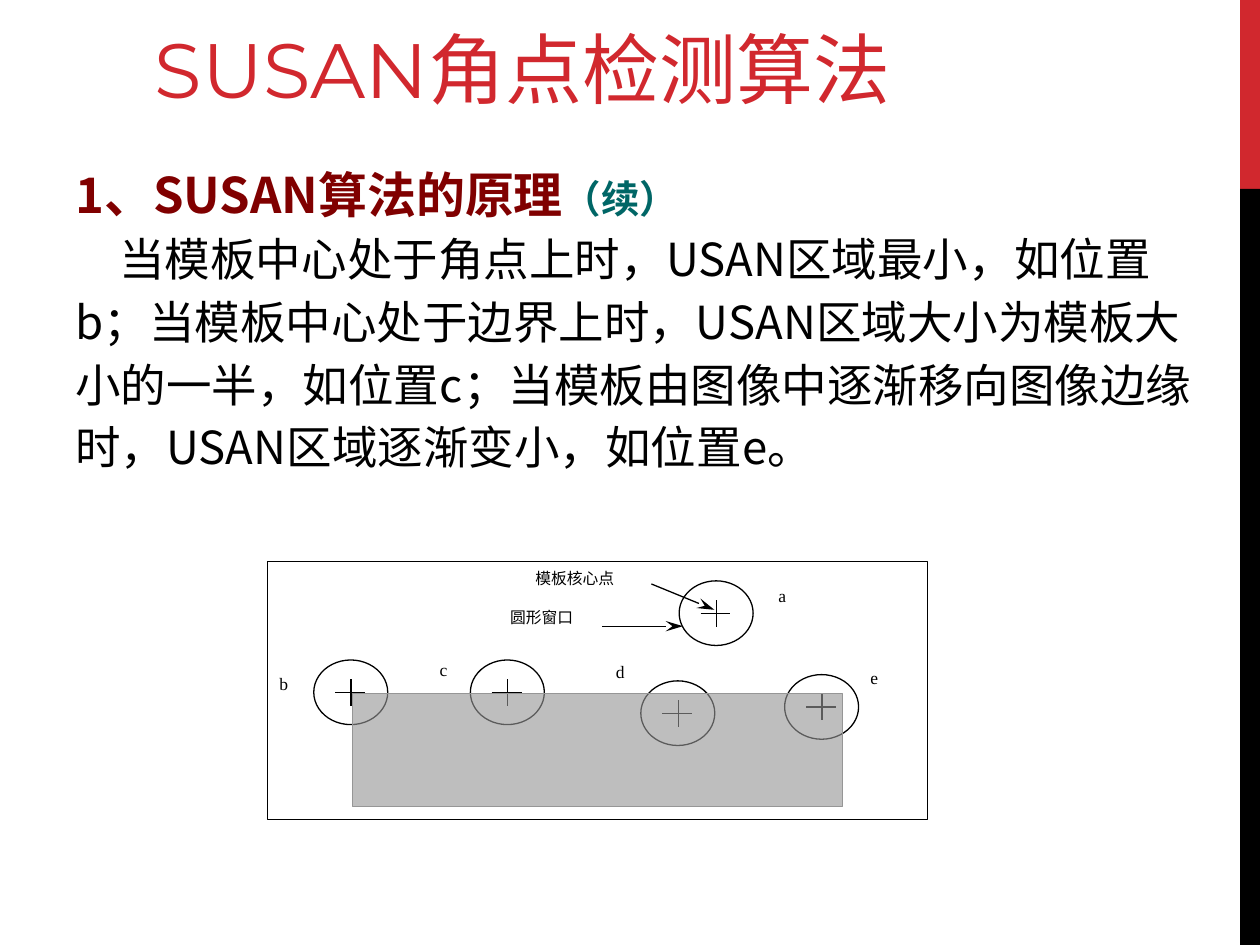
from dataclasses import dataclass
from typing import Optional

from lxml.etree import SubElement
from pptx import Presentation
from pptx.dml.color import RGBColor
from pptx.enum.shapes import MSO_CONNECTOR, MSO_SHAPE
from pptx.enum.text import MSO_ANCHOR, PP_ALIGN
from pptx.oxml.ns import qn
from pptx.util import Inches, Pt

COLORS = {
    "red": "D1282E", "black": "000000", "white": "FFFFFF",
    "maroon": "800000", "teal": "006666", "gray": "969696",
}
CJK_FONT = "Noto Sans CJK SC"
LABEL_FONT = "Times New Roman"

presentation = Presentation()
presentation.slide_width, presentation.slide_height = Inches(10), Inches(7.5)
slide = presentation.slides.add_slide(presentation.slide_layouts[6])

# The grid has 100 columns and 75 rows
COLUMN = presentation.slide_width / 100
ROW = presentation.slide_height / 75


@dataclass
class Box:
    left: float
    top: float
    width: float
    height: float

    def lengths(self) -> tuple:
        return (round(self.left * COLUMN), round(self.top * ROW),
                round(self.width * COLUMN), round(self.height * ROW))


@dataclass
class Run:
    text: str
    size: float
    color: str = "black"
    font: str = CJK_FONT
    bold: bool = False


@dataclass
class Label:
    text: str
    box: Box
    size: float = 10
    line_spacing: float = 1.0
    filled: bool = False


@dataclass
class Line:
    x1: float
    y1: float
    x2: float
    y2: float
    arrow: bool = False


def rgb(name: str) -> RGBColor:
    return RGBColor.from_string(COLORS[name])


def draw_shape(parent, kind, box: Box, fill: str, line: Optional[str] = None,
               opacity: Optional[int] = None, line_width: float = 0.75) -> None:
    shape = parent.add_shape(kind, *box.lengths())
    shape.shadow.inherit = False
    shape.fill.solid()
    shape.fill.fore_color.rgb = rgb(fill)
    if opacity is not None:
        color = shape.fill._xPr.find(qn("a:solidFill"))[0]
        SubElement(color, qn("a:alpha"), val=str(opacity * 1000))
    if line:
        shape.line.color.rgb = rgb(line)
        shape.line.width = Pt(line_width)
    else:
        shape.line.fill.background()


def draw_line(parent, line: Line) -> None:
    connector = parent.add_connector(
        MSO_CONNECTOR.STRAIGHT, round(line.x1 * COLUMN), round(line.y1 * ROW),
        round(line.x2 * COLUMN), round(line.y2 * ROW))
    connector.line.color.rgb = rgb("black")
    connector.line.width = Pt(0.75)
    if line.arrow:
        SubElement(connector.line._get_or_add_ln(), qn("a:tailEnd"),
                   type="stealth", w="med", len="lg")
    SubElement(connector._element.spPr, qn("a:effectLst"))


def draw_window(parent, left: float, top: float) -> None:
    """Circular window with a cross at its core point."""
    draw_shape(parent, MSO_SHAPE.OVAL, Box(left, top, 5.87, 5.13), "white", "black")
    draw_line(parent, Line(left + 1.7, top + 2.57, left + 4.07, top + 2.57))
    draw_line(parent, Line(left + 2.97, top + 1.54, left + 2.97, top + 3.64))


def add_text_box(parent, box: Box, anchor=MSO_ANCHOR.TOP):
    text_box = parent.add_textbox(*box.lengths())
    text_box.text_frame.word_wrap = True
    text_box.text_frame.vertical_anchor = anchor
    return text_box


def write_runs(paragraph, runs: list, **formats) -> None:
    for name, value in formats.items():
        setattr(paragraph, name, value)
    for item in runs:
        run = paragraph.add_run()
        run.text = item.text
        values = {"size": Pt(item.size), "name": item.font, "bold": item.bold}
        for name, value in values.items():
            setattr(run.font, name, value)
        run.font.color.rgb = rgb(item.color)
        SubElement(run.font._element, qn("a:ea"), typeface=CJK_FONT)


def draw_label(parent, label: Label) -> None:
    text_box = add_text_box(parent, label.box)
    if label.filled:
        text_box.fill.solid()
        text_box.fill.fore_color.rgb = rgb("white")
    write_runs(text_box.text_frame.paragraphs[0],
               [Run(label.text, label.size, font=LABEL_FONT)],
               alignment=PP_ALIGN.JUSTIFY, line_spacing=label.line_spacing)


# Side band and white panel
draw_shape(slide.shapes, MSO_SHAPE.RECTANGLE, Box(98.43, 0, 1.57, 15), "red")
draw_shape(slide.shapes, MSO_SHAPE.RECTANGLE, Box(98.43, 15, 1.57, 60), "black")
draw_shape(slide.shapes, MSO_SHAPE.RECTANGLE, Box(92.6, 0, 5.1, 39.1),
           "white", "white", line_width=2.25)

# Title
title = add_text_box(slide.shapes, Box(11.3, 1.2, 69.4, 8.4), MSO_ANCHOR.MIDDLE)
write_runs(title.text_frame.paragraphs[0],
           [Run("SUSAN角点检测算法", 44, "red", "Montserrat")])

# Body text
body = add_text_box(slide.shapes, Box(5, 10.9, 91.7, 27.6)).text_frame
write_runs(body.paragraphs[0], [
    Run("1、SUSAN算法的原理", 28, "maroon", bold=True),
    Run("（续）", 22, "teal", bold=True),
], line_spacing=1.35)
explanation = body.add_paragraph()
explanation._p.get_or_add_pPr().set("indent", str(Inches(0.35)))
write_runs(explanation, [Run(
    "当模板中心处于角点上时，USAN区域最小，如位置b；当模板中心处于边界上时，"
    "USAN区域大小为模板大小的一半，如位置c；当模板由图像中逐渐移向图像边缘时，"
    "USAN区域逐渐变小，如位置e。", 26)], line_spacing=1.15)

# Diagram: frame, circular windows, labels, image region
diagram = slide.shapes.add_group_shape().shapes
draw_shape(diagram, MSO_SHAPE.RECTANGLE, Box(21.23, 44.55, 52.4, 20.5), "white", "black")
LABELS = [
    Label("模板核心点", Box(41.5, 44.75, 11.8, 3.8), 9, 0.96, True),
    Label("圆形窗口", Box(39.5, 47.7, 13, 3.8), 9),
    Label("a", Box(60.8, 45.9, 2.7, 3.8), filled=True),
    Label("b", Box(21.2, 52.9, 2.7, 3.8)),
    Label("c", Box(33.9, 51.8, 2.7, 3.8), filled=True),
    Label("d", Box(47.9, 52, 2.7, 3.8), filled=True),
    Label("e", Box(68.1, 52.45, 2.7, 3.8)),
]
WINDOWS = [(53.9, 46.1), (24.9, 52.38), (50.86, 54.04), (62.27, 53.54), (37.33, 52.38)]
for label in LABELS:
    draw_label(diagram, label)
for left, top in WINDOWS:
    draw_window(diagram, left, top)
draw_shape(diagram, MSO_SHAPE.RECTANGLE, Box(27.97, 55.05, 38.9, 8.97), "gray", "gray", 61)

# Arrows from the labels to the first window
for arrow in (Line(51.7, 46.35, 56.7, 48.4, True), Line(47.8, 49.7, 54.2, 49.7, True)):
    draw_line(diagram, arrow)

presentation.save("out.pptx")
